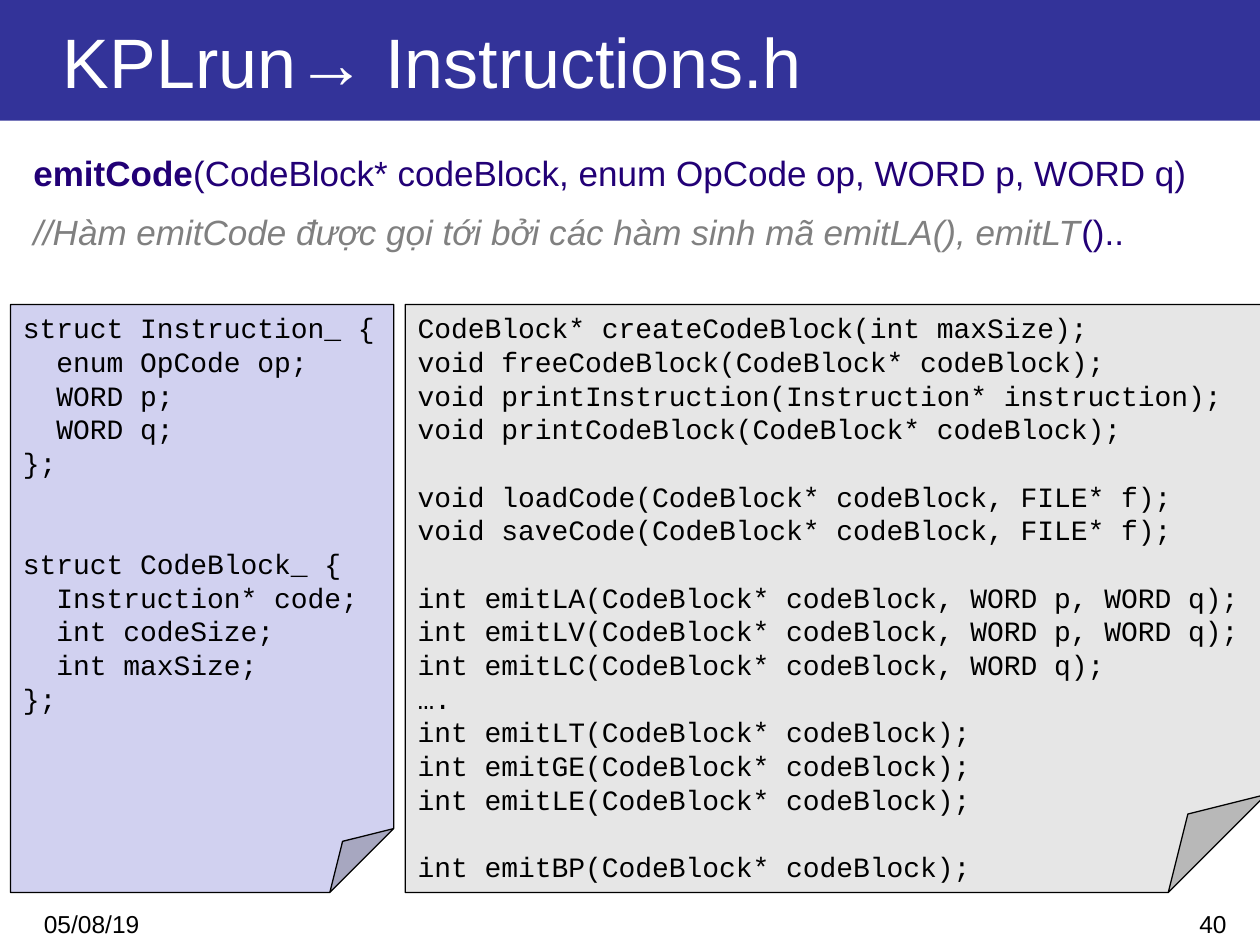
from dataclasses import dataclass

from pptx import Presentation
from pptx.dml.color import RGBColor
from pptx.enum.shapes import MSO_SHAPE
from pptx.enum.text import MSO_ANCHOR, PP_ALIGN
from pptx.util import Emu, Inches, Pt

COLS, ROWS = 120, 90  # slide grid, twelve cells to the inch
CELL = Inches(10) // COLS


@dataclass(frozen=True)
class Theme:
    sans: str = "Arial"
    mono: str = "Courier New"
    title_size: int = 40
    body_size: int = 20
    code_size: int = 16
    footer_size: int = 14
    code_leading: float = 19.25
    black: str = "000000"
    white: str = "FFFFFF"
    banner: str = "333399"
    body: str = "220076"
    comment: str = "808080"
    struct_fill: str = "D1D1F0"
    function_fill: str = "E6E6E6"


T = Theme()

# Each inner list is a group of lines; groups are set apart by a gap
STRUCTS = [
    ["struct Instruction_ {", "  enum OpCode op;", "  WORD p;", "  WORD q;", "};"],
    ["struct CodeBlock_ {", "  Instruction* code;", "  int codeSize;",
     "  int maxSize;", "};"],
]
FUNCTIONS = [
    ["CodeBlock* createCodeBlock(int maxSize);",
     "void freeCodeBlock(CodeBlock* codeBlock);",
     "void printInstruction(Instruction* instruction);",
     "void printCodeBlock(CodeBlock* codeBlock);"],
    ["void loadCode(CodeBlock* codeBlock, FILE* f);",
     "void saveCode(CodeBlock* codeBlock, FILE* f);"],
    ["int emitLA(CodeBlock* codeBlock, WORD p, WORD q);",
     "int emitLV(CodeBlock* codeBlock, WORD p, WORD q);",
     "int emitLC(CodeBlock* codeBlock, WORD q);",
     "….",
     "int emitLT(CodeBlock* codeBlock);",
     "int emitGE(CodeBlock* codeBlock);",
     "int emitLE(CodeBlock* codeBlock);"],
    ["int emitBP(CodeBlock* codeBlock);"],
]


def grid(*cells):
    return [Emu(round(c * CELL)) for c in cells]


def color(value):
    return RGBColor.from_string(value)


def style(r, size, fill, name=T.sans, bold=False, italic=False):
    f = r.font
    f.name, f.size, f.bold, f.italic = name, Pt(size), bold, italic
    f.color.rgb = color(fill)


def indent(p, left, first=0):
    pPr = p._p.get_or_add_pPr()
    pPr.set("marL", str(left))
    pPr.set("indent", str(first))


def add_box(s, cells, kind, fill, line=None):
    sp = s.shapes.add_shape(kind, *grid(*cells))
    sp.shadow.inherit = False
    sp.fill.solid()
    sp.fill.fore_color.rgb = color(fill)
    if line:
        sp.line.color.rgb = color(line)
        sp.line.width = Pt(0.75)
    else:
        sp.line.fill.background()
    sp.text_frame.word_wrap = True
    return sp


def add_textbox(s, cells):
    tf = s.shapes.add_textbox(*grid(*cells)).text_frame
    tf.word_wrap = True
    return tf


def add_footer(s, cells, text, align):
    tf = add_textbox(s, cells)
    tf.text = text
    p = tf.paragraphs[0]
    p.alignment = align
    style(p.runs[0], T.footer_size, T.black)


def add_title(s, text):
    tf = add_box(s, (0, 0, COLS, 11.5), MSO_SHAPE.RECTANGLE, T.banner).text_frame
    tf.margin_left = grid(6)[0]
    tf.vertical_anchor = MSO_ANCHOR.MIDDLE
    tf.text = text
    p = tf.paragraphs[0]
    p.alignment = PP_ALIGN.LEFT
    style(p.runs[0], T.title_size, T.white)


def add_code(s, cells, fill, groups, gap_lines):
    sp = add_box(s, cells, MSO_SHAPE.FOLDED_CORNER, fill, T.black)
    tf = sp.text_frame
    tf.vertical_anchor = MSO_ANCHOR.TOP
    lines = [line for group in groups for line in group]
    tf.text = "\n".join(line.lstrip() for line in lines)
    for p, line in zip(tf.paragraphs, lines):
        p.alignment = PP_ALIGN.LEFT
        p.line_spacing = Pt(T.code_leading)
        # A monospaced character is 0.6 em wide
        depth = len(line) - len(line.lstrip())
        indent(p, Pt(0.6 * T.code_size * depth))
        style(p.runs[0], T.code_size, T.black, T.mono)
    # Open a gap above every group but the first
    start = 0
    for group in groups[:-1]:
        start += len(group)
        tf.paragraphs[start].space_before = Pt(T.code_leading * gap_lines)


def add_description(s, cells, paragraphs):
    tf = add_textbox(s, cells)
    for i, parts in enumerate(paragraphs):
        p = tf.add_paragraph() if i else tf.paragraphs[0]
        p.line_spacing, p.space_before = 1.2, Pt(5)
        indent(p, Inches(0.38), -Inches(0.38))
        for text, fill, bold, italic in parts:
            r = p.add_run()
            r.text = text
            style(r, T.body_size, fill, bold=bold, italic=italic)


def main():
    prs = Presentation()
    prs.slide_width, prs.slide_height = grid(COLS, ROWS)
    s = prs.slides.add_slide(prs.slide_layouts[6])

    # Date and slide number
    add_footer(s, (3, 86, 23, 4), "05/08/19", PP_ALIGN.LEFT)
    add_footer(s, (93, 86, 25, 3), "40", PP_ALIGN.RIGHT)

    # Title banner
    add_title(s, "KPLrun→ Instructions.h")

    # Code notes
    add_code(s, (1, 29, 36.5, 56), T.struct_fill, STRUCTS, 2)
    add_code(s, (38.6, 29, 82, 56), T.function_fill, FUNCTIONS, 1)

    # Signature and its comment
    add_description(s, (2, 13, 114, 12), [
        [("emitCode", T.body, True, False),
         ("(CodeBlock* codeBlock, enum OpCode op, WORD p, WORD q)",
          T.body, False, False)],
        [("//Hàm emitCode được gọi tới bởi các hàm sinh mã emitLA(), emitLT",
          T.comment, False, True),
         ("()..", T.body, False, False)],
    ])

    prs.save("out.pptx")


if __name__ == "__main__":
    main()
